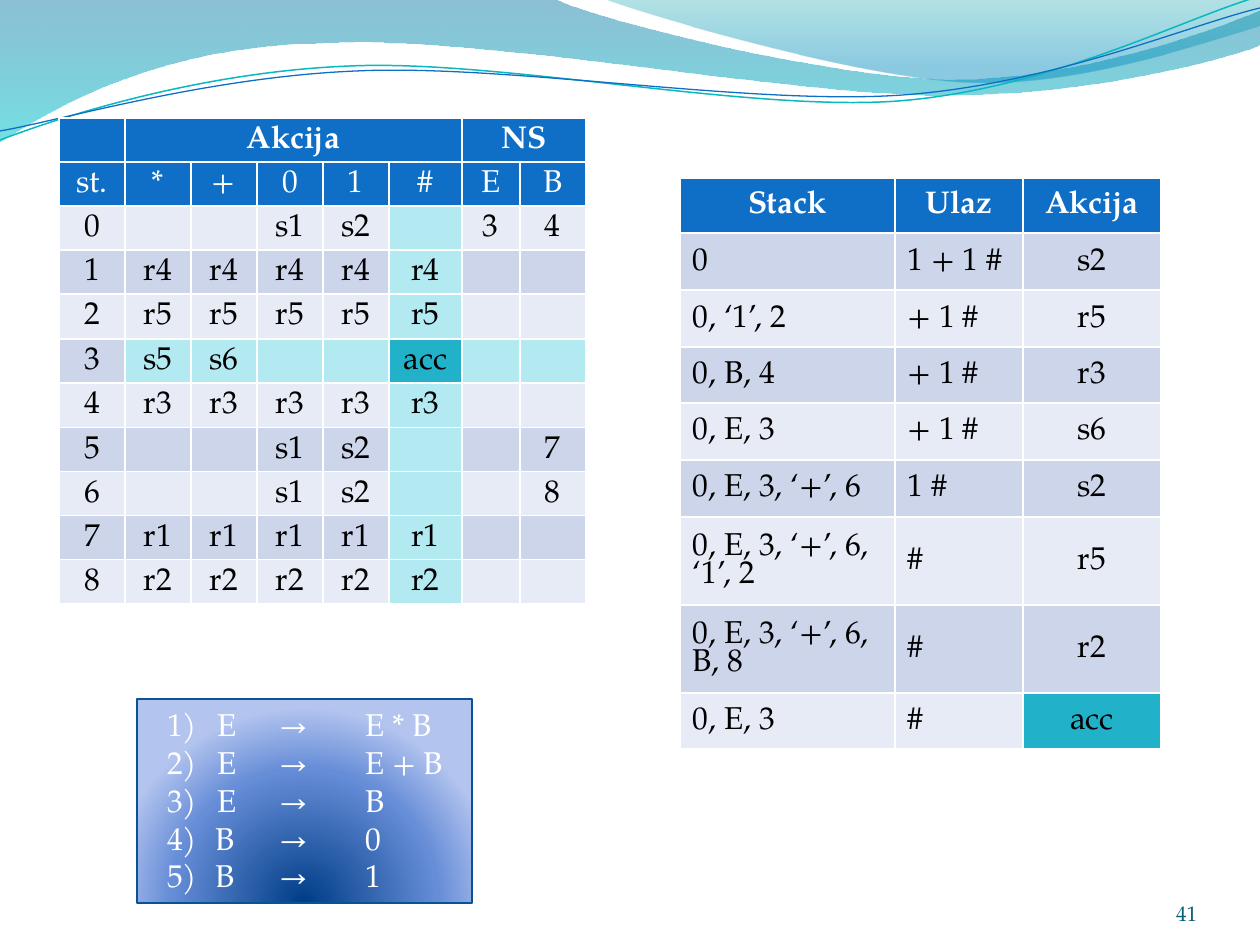
import pptx
import pptx.dml.color
import pptx.enum.shapes
import pptx.enum.text
import pptx.oxml
import pptx.oxml.ns
import pptx.util

THEME = {
    "font": "TeX Gyre Pagella", "body": 18, "small": 12,
    "white": "FFFFFF", "black": "000000", "number": "045D75",
    "header": "0F6FC6", "band_dark": "CCD5EA", "band_light": "E7EBF5",
    "highlight": "B3EAF2", "accept": "21B2C9", "teal_line": "0AB8BF",
    "box_line": "095295",
    "wave_left": [(0, "0074A1", 45), (100, "00C6CF", 55)],
    "wave_right": [(0, "00A1A9", 30), (80, "008BBF", 45)],
    "box": [(0, "003D87", 100), (68, "668DD7", 100), (100, "B3C4EF", 100)],
}

PARSE_TABLE = {
    "at": (59, 118), "columns": [66] * 5 + [73, 58, 66],
    "rows": [44, 44, 44, 44, 45, 44, 45, 44, 44, 44, 44],
    "headers": 2, "margin": 2, "left_columns": (),
    "merges": [(1, 5), (6, 7)], "highlight_row": 5, "highlight_column": 5,
    "cells": [
        ["", "Akcija", "", "", "", "", "NS", ""],
        ["st.", "*", "+", "0", "1", "#", "E", "B"],
        ["0", "", "", "s1", "s2", "", "3", "4"],
        ["1"] + ["r4"] * 5 + ["", ""],
        ["2"] + ["r5"] * 5 + ["", ""],
        ["3", "s5", "s6", "", "", "acc", "", ""],
        ["4"] + ["r3"] * 5 + ["", ""],
        ["5", "", "", "s1", "s2", "", "", "7"],
        ["6", "", "", "s1", "s2", "", "", "8"],
        ["7"] + ["r1"] * 5 + ["", ""],
        ["8"] + ["r2"] * 5 + ["", ""],
    ],
}
TRACE_TABLE = {
    "at": (680, 178), "columns": [215, 128, 138],
    "rows": [55, 57, 57, 56, 57, 57, 88, 88, 56],
    "headers": 1, "margin": 6, "left_columns": (0, 1),
    "merges": [], "highlight_row": None, "highlight_column": None,
    "cells": [
        ["Stack", "Ulaz", "Akcija"],
        ["0", "1 + 1 #", "s2"],
        ["0, ‘1’, 2", "+ 1 #", "r5"],
        ["0, B, 4", "+ 1 #", "r3"],
        ["0, E, 3", "+ 1 #", "s6"],
        ["0, E, 3, ‘+’, 6", "1 #", "s2"],
        ["0, E, 3, ‘+’, 6, ‘1’, 2", "#", "r5"],
        ["0, E, 3, ‘+’, 6, B, 8", "#", "r2"],
        ["0, E, 3", "#", "acc"],
    ],
}
EXPRESSION_RULES = ["1) \tE\t→\tE * B", "2) \tE\t→\tE + B", "3) \tE\t→\tB"]
BIT_RULES = ["B\t→\t0", "B\t→\t1"]
GRAMMAR_TABS = (50, 112, 198)
BIT_INDENT = 48

WAVES = [
    ("wave_left", [
        [(0, 0)], [(554, -1)],
        [(600, 21), (837, 79), (955, 79)], [(1075, 79), (1207, 33), (1260, 11)],
        [(1261, 45)], [(1239, 55), (1096, 96), (940, 95)],
        [(784, 95), (481, 35), (324, 43)], [(163, 45), (58, 105), (-1, 142)]]),
    ("wave_right", [
        [(604, -1)], [(641, 14), (859, 78), (969, 82)],
        [(1079, 87), (1211, 40), (1260, 26)], [(1260, 0)]]),
]
STRANDS = [
    ("teal_line", 0.85, [
        [(0, 140)], [(60, 117), (199, 72), (349, 66)],
        [(498, 59), (747, 112), (898, 101)], [(1050, 89), (1182, 19), (1257, -3)]]),
    ("header", 0.75, [
        [(0, 131)], [(59, 121), (207, 77), (357, 71)],
        [(508, 64), (752, 106), (903, 95)], [(1053, 84), (1186, 26), (1260, 8)]]),
]
LINEAR = '<a:lin ang="5400000" scaled="0"/>'
RADIAL = ('<a:path path="circle"><a:fillToRect l="50000" t="130000" '
          'r="50000" b="-30000"/></a:path>')


def px(value):
    return pptx.util.Emu(round(value * 914400 / 126))


def color(name):
    return pptx.dml.color.RGBColor.from_string(THEME[name])


def element(xml):
    tag_end = min(xml.index(mark) for mark in " >" if mark in xml)
    return pptx.oxml.parse_xml(
        xml[:tag_end] + " " + pptx.oxml.ns.nsdecls("a") + xml[tag_end:])


def style(paragraph, color_name, size="body", bold=False):
    for run in paragraph.runs:
        run.font.name = THEME["font"]
        run.font.size = pptx.util.Pt(THEME[size])
        run.font.bold = bold
        run.font.color.rgb = color(color_name)


def set_gradient(shape, stops, direction):
    shape.fill.background()
    properties = shape._element.spPr
    no_fill = properties.find(pptx.oxml.ns.qn("a:noFill"))
    stop_xml = "".join(
        f'<a:gs pos="{position * 1000}"><a:srgbClr val="{value}">'
        f'<a:alpha val="{alpha * 1000}"/></a:srgbClr></a:gs>'
        for position, value, alpha in stops)
    properties.replace(no_fill, element(
        f'<a:gradFill rotWithShape="1"><a:gsLst>{stop_xml}</a:gsLst>{direction}</a:gradFill>'))


def add_outline(slide, segments, close):
    anchors = [(px(x), px(y)) for x, y in (segment[-1] for segment in segments)]
    builder = slide.shapes.build_freeform(*anchors[0])
    builder.add_line_segments(anchors[1:], close=close)
    shape = builder.convert_to_shape()
    shape.shadow.inherit = False
    lines = list(shape._element.iter(pptx.oxml.ns.qn("a:lnTo")))
    for line, segment in zip(lines, segments[1:]):
        if len(segment) == 3:
            points = "".join(
                f'<a:pt x="{px(x) - shape.left}" y="{px(y) - shape.top}"/>' for x, y in segment)
            line.getparent().replace(line, element(f"<a:cubicBezTo>{points}</a:cubicBezTo>"))
    return shape


def add_waves(slide):
    for gradient, segments in WAVES:
        wave = add_outline(slide, segments, True)
        set_gradient(wave, THEME[gradient], LINEAR)
        wave.line.fill.background()
    for line_color, width, segments in STRANDS:
        strand = add_outline(slide, segments, False)
        strand.fill.background()
        strand.line.color.rgb = color(line_color)
        strand.line.width = pptx.util.Pt(width)


def cell_fill(data, row, column, text):
    if row < data["headers"]:
        return "header"
    if text == "acc":
        return "accept"
    if column == data["highlight_column"] or (row == data["highlight_row"] and column):
        return "highlight"
    return "band_dark" if row % 2 else "band_light"


def add_table(slide, data):
    left, top = data["at"]
    columns, rows = data["columns"], data["rows"]
    table = slide.shapes.add_table(
        len(rows), len(columns), px(left), px(top), px(sum(columns)), px(sum(rows))).table
    for column, width in zip(table.columns, columns):
        column.width = px(width)
    for row, height in zip(table.rows, rows):
        row.height = px(height)
    for r, texts in enumerate(data["cells"]):
        for c, text in enumerate(texts):
            cell = table.cell(r, c)
            is_header = r < data["headers"]
            cell.text_frame.text = text
            cell.vertical_anchor = pptx.enum.text.MSO_ANCHOR.MIDDLE
            cell.margin_top = cell.margin_bottom = px(data["margin"])
            paragraph = cell.text_frame.paragraphs[0]
            paragraph.line_spacing = 0.9
            if is_header or c not in data["left_columns"]:
                paragraph.alignment = pptx.enum.text.PP_ALIGN.CENTER
            style(paragraph, "white" if is_header else "black", bold=r == 0)
            cell.fill.solid()
            cell.fill.fore_color.rgb = color(cell_fill(data, r, c, text))
    for first, last in data["merges"]:
        table.cell(0, first).merge(table.cell(0, last))


def add_grammar(slide):
    box = slide.shapes.add_shape(
        pptx.enum.shapes.MSO_SHAPE.RECTANGLE, px(137), px(699), px(335), px(204))
    set_gradient(box, THEME["box"], RADIAL)
    box.line.color.rgb = color("box_line")
    box.line.width = pptx.util.Pt(0.75)
    box.shadow.inherit = False
    frame = box.text_frame
    frame.word_wrap = True
    frame.margin_left, frame.margin_right = px(30), px(6)
    frame.vertical_anchor = pptx.enum.text.MSO_ANCHOR.TOP
    frame.text = "\n".join(["\v".join(EXPRESSION_RULES)] + BIT_RULES)
    tabs = "".join(f'<a:tab pos="{px(tab)}" algn="l"/>' for tab in GRAMMAR_TABS)
    for index, paragraph in enumerate(frame.paragraphs):
        properties = paragraph._p.get_or_add_pPr()
        if index:
            properties.set("marL", str(px(BIT_INDENT)))
            properties.set("indent", str(-px(BIT_INDENT)))
            start = len(EXPRESSION_RULES) + 1
            properties.append(element(
                f'<a:buAutoNum type="arabicParenR" startAt="{start}"/>'))
        properties.append(element(f"<a:tabLst>{tabs}</a:tabLst>"))
        paragraph.alignment = pptx.enum.text.PP_ALIGN.LEFT
        style(paragraph, "white")


def add_slide_number(slide):
    frame = slide.shapes.add_textbox(px(1092), px(876), px(105), px(50)).text_frame
    frame.word_wrap = True
    frame.margin_left = frame.margin_right = frame.margin_top = frame.margin_bottom = 0
    frame.vertical_anchor = pptx.enum.text.MSO_ANCHOR.BOTTOM
    frame.text = "41"
    frame.paragraphs[0].alignment = pptx.enum.text.PP_ALIGN.RIGHT
    style(frame.paragraphs[0], "number", "small")


def main():
    presentation = pptx.Presentation()
    presentation.slide_width, presentation.slide_height = px(1260), px(945)
    slide = presentation.slides.add_slide(presentation.slide_layouts[6])
    add_waves(slide)
    add_table(slide, PARSE_TABLE)
    add_slide_number(slide)
    add_grammar(slide)
    add_table(slide, TRACE_TABLE)
    presentation.save("out.pptx")


if __name__ == "__main__":
    main()
